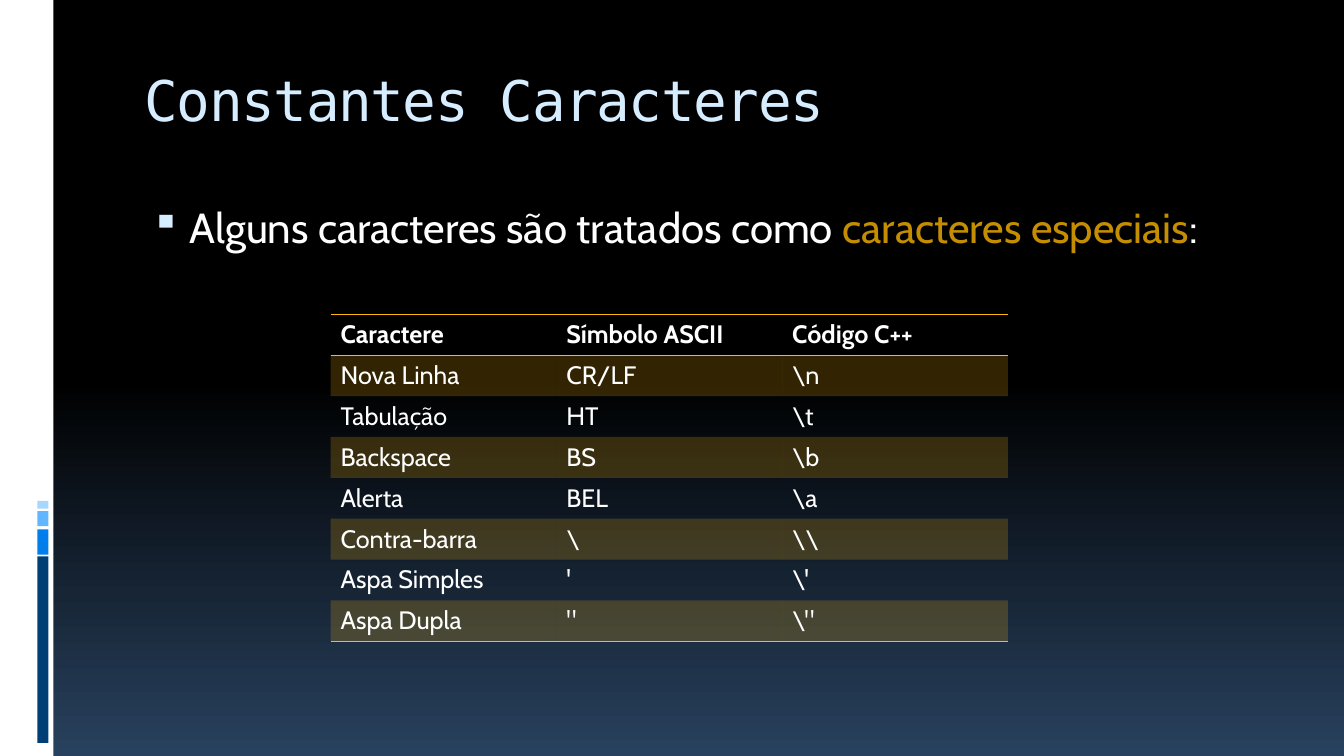
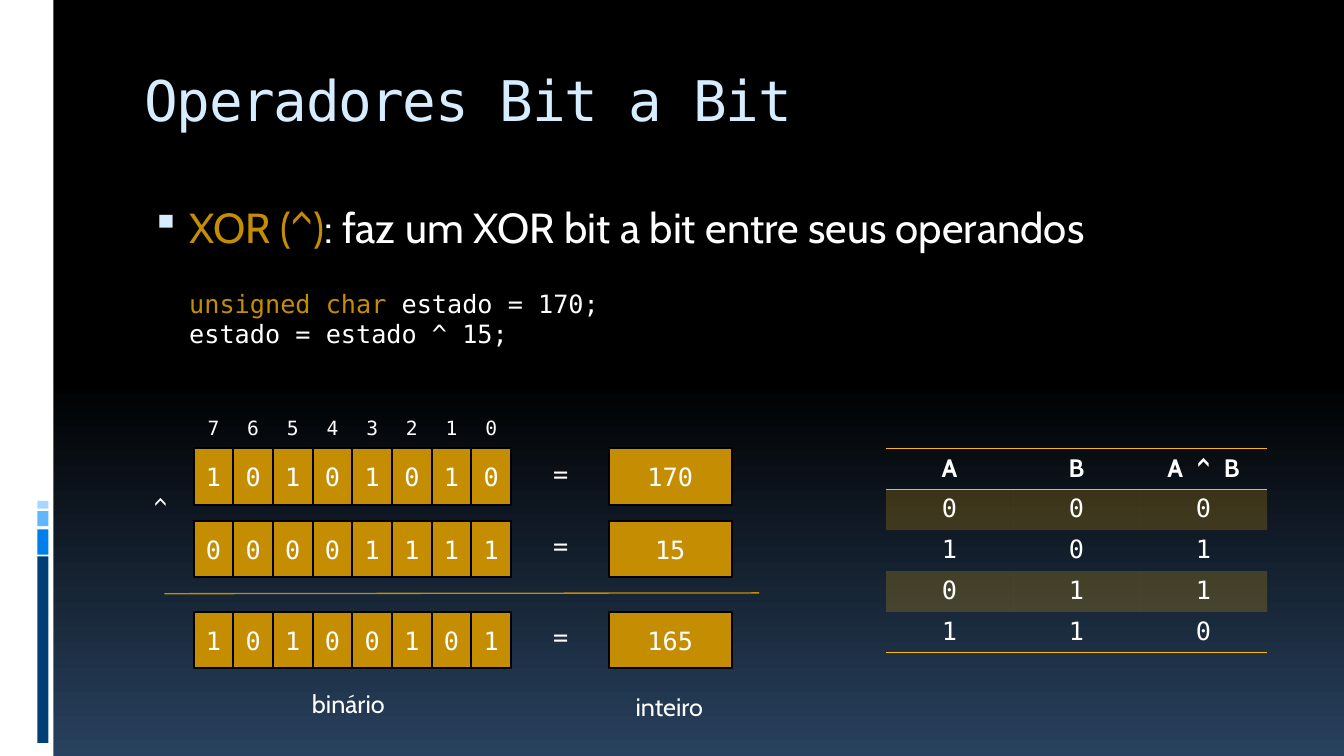
from lxml import etree
from pptx import Presentation
from pptx.dml.color import RGBColor
from pptx.enum.shapes import MSO_CONNECTOR, MSO_SHAPE
from pptx.enum.text import MSO_ANCHOR, MSO_AUTO_SIZE, PP_ALIGN
from pptx.oxml.ns import qn
from pptx.util import Cm, Pt

RECT = MSO_SHAPE.RECTANGLE
LINE = MSO_CONNECTOR.STRAIGHT
TOP = MSO_ANCHOR.TOP
MIDDLE = MSO_ANCHOR.MIDDLE
FIXED = MSO_AUTO_SIZE.NONE
LEFT = PP_ALIGN.LEFT
CENTER = PP_ALIGN.CENTER

SANS = "Cabin"
MONO = "DejaVu Sans Mono"
WHITE = "FFFFFF"
BLACK = "000000"
NAVY = "28415E"
PALE = "D6ECFF"
GOLD = "C58D01"
AMBER = "FEB80A"
PLAIN = "{2D5ABB26-0587-4C30-8999-92F81FD0307C}"
BARS = [
    (14.02, 4.7, "003F75"),
    (13.34, 0.64, "007EEB"),
    (12.88, 0.38, "61B6FF"),
    (12.62, 0.2, "A7D6FF"),
]


def paint(color, code):
    color.rgb = RGBColor.from_string(code)


def add(parent, tag, **attrs):
    return etree.SubElement(parent, qn(tag), attrs)


def write(frame, text, font=SANS, size=18, color=WHITE, bold=False, align=LEFT, track=0):
    for row, line in enumerate(text.split("\n")):
        para = frame.add_paragraph() if row else frame.paragraphs[0]
        para.alignment = align
        for turn, part in enumerate(line.split("|")):
            if not part:
                continue
            run = para.add_run()
            run.text = part
            run.font.name = font
            run.font.size = Pt(size)
            run.font.bold = bold
            paint(run.font.color, GOLD if turn % 2 else color)
            if track:
                run.font._element.set("spc", str(int(track * 100)))


class Deck:
    def __init__(self):
        self.file = Presentation()
        self.file.slide_width = Cm(33.87)
        self.file.slide_height = Cm(19.05)
        fill = self.file.slide_master.background.fill
        fill.gradient()
        fill.gradient_angle = 270
        for stop, place, code in zip(fill.gradient_stops, (0.5, 1), (BLACK, NAVY)):
            stop.position = place
            paint(stop.color, code)

    def page(self, title):
        self.slide = self.file.slides.add_slide(self.file.slide_layouts[5])
        self.shapes = self.slide.shapes
        self.rect(0, 0, 1.35, 19.05, WHITE)
        for y, high, code in BARS:
            self.rect(0.94, y, 0.28, high, code)
        head = self.shapes.title
        head.left, head.top, head.width, head.height = Cm(3.39), Cm(1.53), Cm(28.78), Cm(2.54)
        head.text_frame.auto_size = FIXED
        head.text_frame.vertical_anchor = TOP
        write(head.text_frame, title, font=MONO, size=40, color=PALE, track=-1)

    def rect(self, x, y, wide, high, code, edge=None):
        shape = self.shapes.add_shape(RECT, Cm(x), Cm(y), Cm(wide), Cm(high))
        shape.shadow.inherit = False
        shape.fill.solid()
        paint(shape.fill.fore_color, code)
        if edge:
            paint(shape.line.color, edge)
            shape.line.width = Pt(1.5)
        else:
            shape.line.fill.background()
        return shape

    def cell(self, x, y, wide, text):
        frame = self.rect(x, y, wide, 1.42, GOLD, BLACK).text_frame
        frame.vertical_anchor = MIDDLE
        write(frame, text, font=MONO, align=CENTER)

    def text(self, x, y, wide, high, text, **style):
        frame = self.shapes.add_textbox(Cm(x), Cm(y), Cm(wide), Cm(high)).text_frame
        frame.word_wrap = True
        write(frame, text, **style)
        return frame

    def point(self, text):
        frame = self.text(3.39, 4.95, 28.78, 2, text, size=30)
        para = frame.paragraphs[0]
        para.space_before = Pt(7)
        props = para._p.get_or_add_pPr()
        props.set("marL", str(Cm(1.14)))
        props.set("indent", str(Cm(-0.97)))
        add(add(props, "a:buClr"), "a:srgbClr", val=PALE)
        add(props, "a:buSzPct", val="95000")
        add(props, "a:buChar", char="▪")

    def line(self, x, y, end, low):
        rule = self.shapes.add_connector(LINE, Cm(x), Cm(y), Cm(end), Cm(low))
        paint(rule.line.color, GOLD)
        rule.line.width = Pt(0.94)
        add(rule._element.spPr, "a:effectLst")

    def table(self, x, y, wide, rows, font=SANS, align=LEFT, tracks=(0, 0, 0)):
        count = len(rows[0])
        high = 1.03
        frame = self.shapes.add_table(
            len(rows), count, Cm(x), Cm(y), Cm(wide * count), Cm(high * len(rows)))
        grid = frame.table
        grid.horz_banding = False
        grid._tbl.tblPr.find(qn("a:tableStyleId")).text = PLAIN
        for r, row in enumerate(rows):
            grid.rows[r].height = Cm(high)
            edges = []
            if r == 0:
                edges.append("a:lnT")
            if r in (0, len(rows) - 1):
                edges.append("a:lnB")
            for c, text in enumerate(row):
                cell = grid.cell(r, c)
                write(cell.text_frame, text, font=font if r else SANS, bold=r == 0,
                      align=align, track=0 if r else tracks[c])
                props = cell._tc.get_or_add_tcPr()
                for tag in edges:
                    edge = add(props, tag, w=str(Pt(1)))
                    add(add(edge, "a:solidFill"), "a:srgbClr", val=AMBER)
                if r % 2:
                    cell.fill.solid()
                    paint(cell.fill.fore_color, AMBER)
                    add(props.find(qn("a:solidFill"))[0], "a:alpha", val="20000")
                else:
                    cell.fill.background()


def signs(deck):
    deck.page("Constantes Caracteres")
    deck.point("Alguns caracteres são tratados como |caracteres especiais|:")
    deck.table(8.33, 7.92, 5.69, [
        ("Caractere", "Símbolo ASCII", "Código C++"),
        ("Nova Linha", "CR/LF", r"\n"),
        ("Tabulação", "HT", r"\t"),
        ("Backspace", "BS", r"\b"),
        ("Alerta", "BEL", r"\a"),
        ("Contra-barra", "\\", r"\\"),
        ("Aspa Simples", "'", r"\'"),
        ("Aspa Dupla", '"', r'\"'),
    ])


def bits(deck):
    deck.page("Operadores Bit a Bit")
    deck.point("|XOR (^)|: faz um XOR bit a bit entre seus operandos")
    deck.text(4.52, 7.14, 23.8, 1.8,
              "|unsigned char| estado = 170;\nestado = estado ^ 15;", font=MONO)
    start = 4.88
    for spot in range(8):
        deck.text(start + spot, 10.36, 1, 0.86, str(7 - spot),
                  font=MONO, size=14, align=CENTER)
    for y, value in ((11.3, 170), (13.13, 15), (15.42, 165)):
        for spot, bit in enumerate(f"{value:08b}"):
            deck.cell(start + spot, y, 1, bit)
        deck.text(13.69, y + 0.12, 0.86, 1.02, "=", font=MONO, align=CENTER)
        deck.cell(15.34, y, 3.1, str(value))
    deck.line(4.14, 14.96, 19.13, 14.94)
    deck.text(3.63, 12.27, 0.84, 1.02, "^", align=CENTER)
    deck.text(7.28, 17.22, 3, 1.02, "binário", align=CENTER)
    deck.text(15.37, 17.3, 3, 1.02, "inteiro", align=CENTER)
    deck.table(22.33, 11.3, 3.2, [
        ("A", "B", "A ^ B"),
        ("0", "0", "0"),
        ("1", "0", "1"),
        ("0", "1", "1"),
        ("1", "1", "0"),
    ], font=MONO, align=CENTER, tracks=(0, 0, 3))


def main():
    deck = Deck()
    signs(deck)
    bits(deck)
    deck.file.save("out.pptx")


if __name__ == "__main__":
    main()
